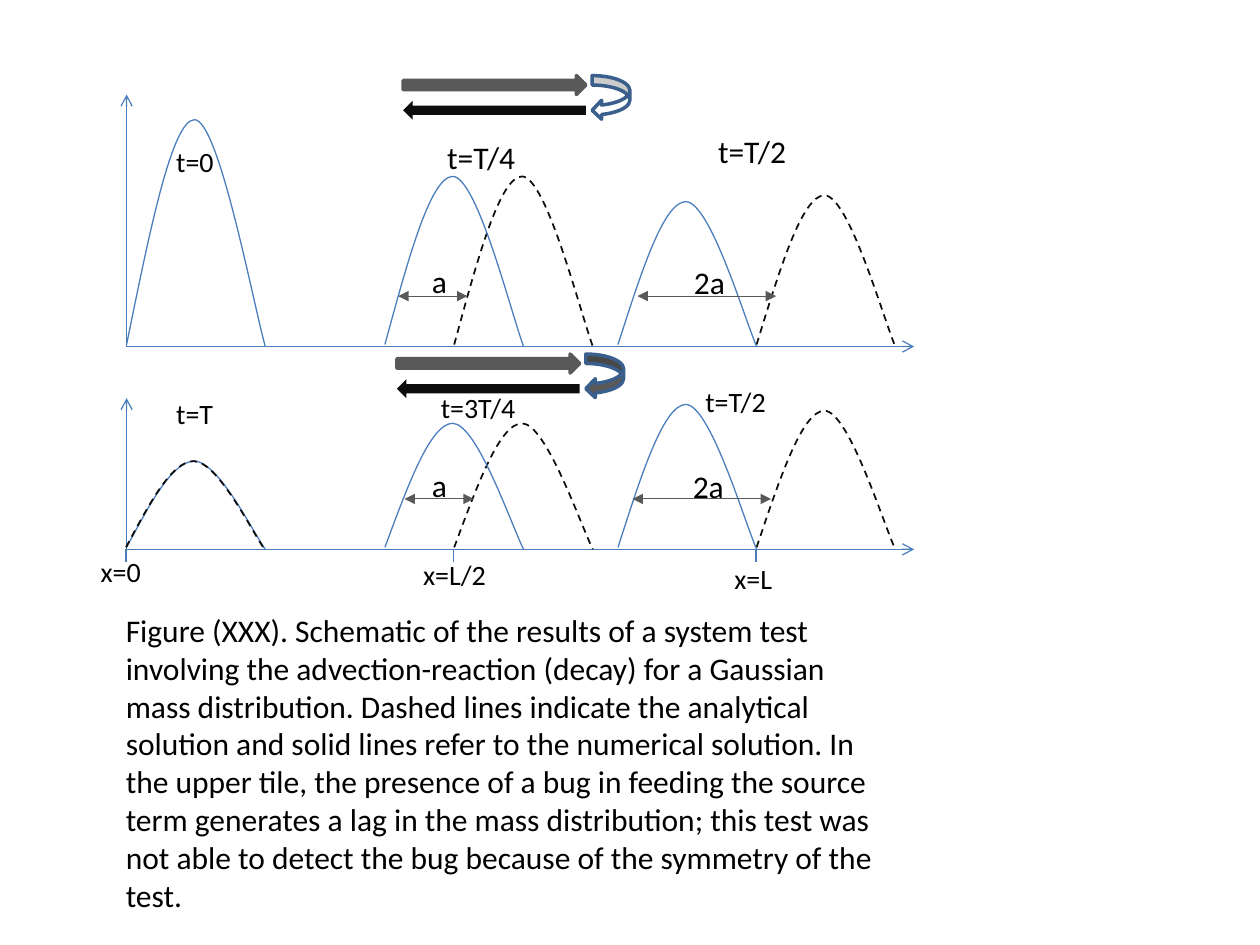
from dataclasses import dataclass

import pptx
import pptx.dml.color
import pptx.enum.dml
import pptx.enum.shapes
import pptx.oxml
import pptx.oxml.ns
import pptx.util

HUES = {
    "blue": "4B7EBC", "navy": "3A5F8C", "gray": "595959",
    "ink": "0D0D0D", "text": "000000", "white": "FFFFFF",
}
WIDE, HIGH = pptx.util.Inches(10), pptx.util.Inches(7.5)
COLS, ROWS = 100, 75
ZERO, HALF, FULL = 10.05, 30.55, 49.05
HUMP, LAG = 11, 5.5
KINDS = pptx.enum.shapes.MSO_SHAPE


@dataclass
class Hump:
    left: float
    top: float
    dash: bool = False


@dataclass
class Span:
    left: float
    width: float


@dataclass
class Label:
    text: str
    left: float
    top: float
    width: float
    size: int = 16


@dataclass
class Panel:
    base: float
    top: float
    span: float
    humps: list[Hump]
    spans: list[Span]
    labels: list[Label]
    loop: tuple[float, float]
    bend: str
    ticks: tuple[float, ...] = ()


def col(num: float) -> int:
    return round(num * WIDE / COLS)


def row(num: float) -> int:
    return round(num * HIGH / ROWS)


def hue(name: str) -> pptx.dml.color.RGBColor:
    return pptx.dml.color.RGBColor.from_string(HUES[name])


def node(tag: str, **traits: str):
    item = pptx.oxml.parse_xml(f"<{tag} {pptx.oxml.ns.nsdecls('a')}/>")
    for key, value in traits.items():
        item.set(key, value)
    return item


def pen(line, name: str, width: float) -> None:
    line.color.rgb = hue(name)
    line.width = pptx.util.Pt(width)


def draw_line(group, start: tuple, end: tuple, name: str = "blue",
              width: float = 0.75, head: str = "", tail: str = "") -> None:
    line = group.shapes.add_connector(
        pptx.enum.shapes.MSO_CONNECTOR.STRAIGHT,
        col(start[0]), row(start[1]), col(end[0]), row(end[1]))
    pen(line.line, name, width)
    edge = line.line._get_or_add_ln()
    for tag, kind in (("a:headEnd", head), ("a:tailEnd", tail)):
        if kind:
            edge.append(node(tag, type=kind))
    line._element.spPr.append(node("a:effectLst"))


def draw_hump(group, hump: Hump, base: float) -> None:
    left, top = hump.left, hump.top
    tall = base - top
    rise = [(1.8, tall / 2), (3.6, 0), (5.4, 0)]
    fall = [(7.3, 0.1), (9.9, 0.77 * tall), (HUMP, tall)]
    form = group.shapes.build_freeform(col(left), row(base - 0.15))
    form.add_line_segments(
        [(col(left + bend[-1][0]), row(top + bend[-1][1]))
         for bend in (rise, fall)], close=False)
    curve = form.convert_to_shape()
    sides = list(curve._element.iter(pptx.oxml.ns.qn("a:lnTo")))
    for side, bend in zip(sides, (rise, fall)):
        arc = node("a:cubicBezTo")
        for x, y in bend:
            arc.append(node("a:pt", x=str(col(x)), y=str(row(y))))
        side.getparent().replace(side, arc)
    curve.shadow.inherit = False
    curve.fill.background()
    pen(curve.line, "ink" if hump.dash else "blue", 1 if hump.dash else 0.75)
    if hump.dash:
        curve.line.dash_style = pptx.enum.dml.MSO_LINE.DASH


def draw_label(home, label: Label, tall: float = 4) -> None:
    box = home.shapes.add_textbox(
        col(label.left), row(label.top), col(label.width), row(tall))
    frame = box.text_frame
    frame.word_wrap = True
    frame.text = label.text
    font = frame.paragraphs[0].runs[0].font
    font.name = "Calibri"
    font.size = pptx.util.Pt(label.size)
    font.color.rgb = hue("text")


def draw_block(group, kind, left: float, top: float, width: float,
               tall: float, fill: str, edge: str = "", turn: int = 0) -> None:
    block = group.shapes.add_shape(
        kind, col(left), row(top), col(width), row(tall))
    block.shadow.inherit = False
    block.rotation = turn
    block.fill.solid()
    block.fill.fore_color.rgb = hue(fill)
    if edge:
        pen(block.line, edge, 2)
    else:
        block.line.fill.background()


def draw_panel(slide, panel: Panel) -> None:
    group = slide.shapes.add_group_shape()
    base = panel.base
    for end in ((ZERO, panel.top), (ZERO + 62.5, base)):
        draw_line(group, (ZERO, base), end, tail="arrow")
    for hump in panel.humps:
        draw_hump(group, hump, base)
    for span in panel.spans:
        draw_line(group, (span.left, panel.span),
                  (span.left + span.width, panel.span),
                  "gray", 0.5, "triangle", "triangle")
    for tick in panel.ticks:
        draw_line(group, (tick, base), (tick, base + 1))
    for label in panel.labels:
        draw_label(group, label, 4 if label.size == 18 else 3.7)
    left, top = panel.loop
    draw_block(group, KINDS.RIGHT_ARROW, left, top, 14.5, 1.5, "gray", "gray")
    draw_block(group, KINDS.RIGHT_ARROW, left, top + 2, 14.5, 1.5, "ink",
               turn=180)
    draw_block(group, KINDS.CURVED_LEFT_ARROW, left + 15, top, 3, 3.5,
               panel.bend, "navy")


CAPTION = Label(
    "Figure (XXX). Schematic of the results of a system test involving the "
    "advection-reaction (decay) for a Gaussian mass distribution. Dashed lines "
    "indicate the analytical solution and solid lines refer to the numerical "
    "solution. In the upper tile, the presence of a bug in feeding the source "
    "term generates a lag in the mass distribution; this test was not able to "
    "detect the bug because of the symmetry of the test.",
    9, 48, 61.5, 18)

PANELS = [
    Panel(27.5, 7.5, 23.5,
          [Hump(ZERO, 9.5), Hump(HALF + LAG, 14, True), Hump(HALF, 14),
           Hump(FULL + HUMP, 15.5, True), Hump(FULL, 16)],
          [Span(31.6, LAG), Span(50.6, HUMP)],
          [Label("a", 33.3, 20.3, 2, 18), Label("2a", 54.1, 20.4, 6, 18),
           Label("t=0", 13, 11, 6.5), Label("t=T/4", 34.5, 10.5, 10.5, 18),
           Label("t=T/2", 56, 10, 10.5, 18)],
          (32, 6), "white"),
    Panel(43.6, 31.6, 39.6,
          [Hump(ZERO, 36.6), Hump(HALF + LAG, 33.6, True), Hump(HALF, 33.6),
           Hump(FULL + HUMP, 32.6, True), Hump(FULL, 32.1),
           Hump(ZERO - 0.05, 36.6, True)],
          [Span(32.1, LAG), Span(50.2, HUMP)],
          [Label("a", 33.3, 36.5, 2, 18), Label("2a", 54, 36.6, 6, 18),
           Label("t=T", 13, 31, 6.5), Label("t=3T/4", 34, 30.5, 10.5),
           Label("t=T/2", 55, 30, 10.5), Label("x=0", 7, 43.5, 9.5),
           Label("x=L/2", 32.6, 43.8, 9.5), Label("x=L", 57.3, 44.1, 9.5)],
          (31.5, 28.1), "gray", (10, 36, 60)),
]

deck = pptx.Presentation()
deck.slide_width, deck.slide_height = WIDE, HIGH
slide = deck.slides.add_slide(deck.slide_layouts[6])
draw_label(slide, CAPTION, 25.2)
for panel in PANELS:
    draw_panel(slide, panel)
deck.save("out.pptx")
